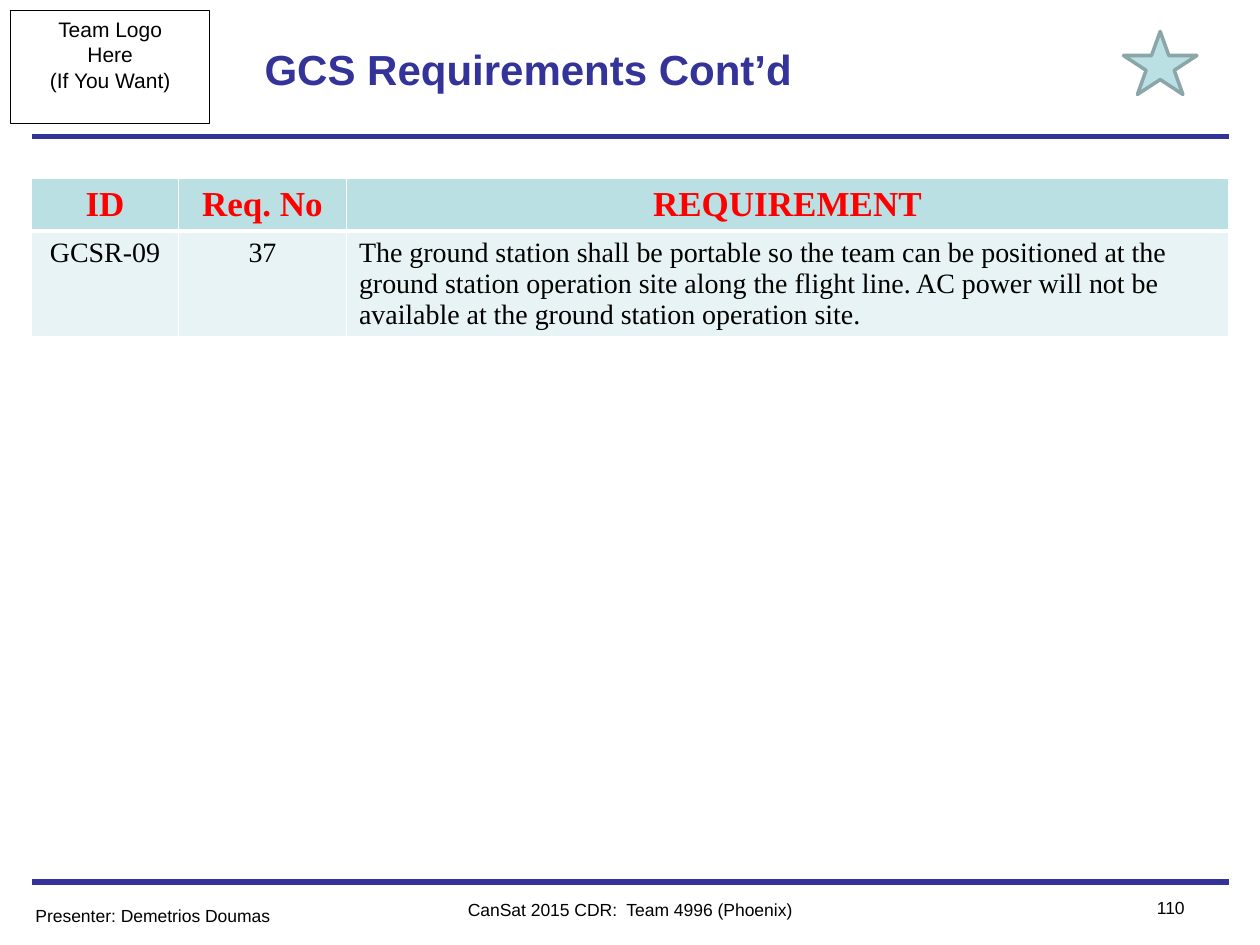
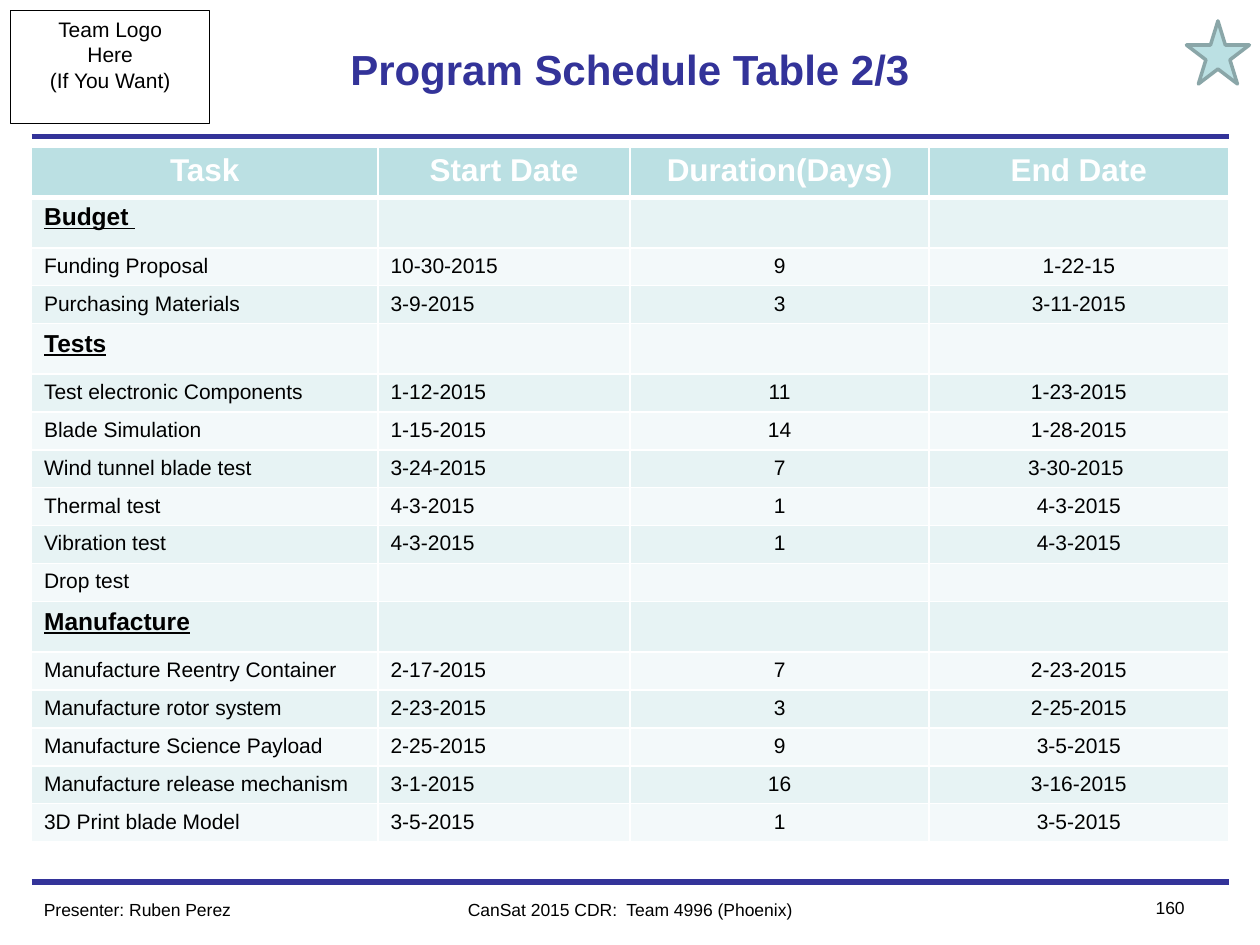
from lxml import etree
from pptx import Presentation
from pptx import util as u
from pptx.dml.color import RGBColor
from pptx.enum import shapes, text
from pptx.oxml import ns

NAVY, BLACK, WHITE, RED = "333399", "000000", "FFFFFF", "FF0000"
AQUA, AQUA_EDGE = "BBE0E3", "8AA6A8"
BANDS = ("E7F3F4", "F3F9FA")
SANS, SERIF = "Arial", "Times New Roman"
LEFT, CENTER, RIGHT = text.PP_ALIGN.LEFT, text.PP_ALIGN.CENTER, text.PP_ALIGN.RIGHT
COLUMNS, ROWS = 120, 90
MARGIN, BODY_WIDTH = 3, 114
RULE_ROWS = (84, 13)
TEAM = "CanSat 2015 CDR:  Team 4996 (Phoenix)"

REQUIREMENTS = [
    ("ID", "Req. No", "REQUIREMENT"),
    ("GCSR-09", "37",
     "The ground station shall be portable so the team can be positioned at the "
     "ground station operation site along the flight line. AC power will not be "
     "available at the ground station operation site."),
]
SCHEDULE = [
    ("Task", "Start Date", "Duration(Days)", "End Date"),
    ("Budget ",),
    ("Funding Proposal", "10-30-2015", "9", "1-22-15"),
    ("Purchasing Materials", "3-9-2015", "3", "3-11-2015"),
    ("Tests",),
    ("Test electronic Components", "1-12-2015", "11", "1-23-2015"),
    ("Blade Simulation", "1-15-2015", "14", "1-28-2015"),
    ("Wind tunnel blade test", "3-24-2015", "7", "3-30-2015 "),
    ("Thermal test", "4-3-2015", "1", "4-3-2015"),
    ("Vibration test", "4-3-2015", "1", "4-3-2015"),
    ("Drop test", "", "", ""),
    ("Manufacture",),
    ("Manufacture Reentry Container", "2-17-2015", "7", "2-23-2015"),
    ("Manufacture rotor system", "2-23-2015", "3", "2-25-2015"),
    ("Manufacture Science Payload", "2-25-2015", "9", "3-5-2015"),
    ("Manufacture release mechanism", "3-1-2015", "16", "3-16-2015"),
    ("3D Print blade Model", "3-5-2015", "1", "3-5-2015"),
]

deck = Presentation()
deck.slide_width, deck.slide_height = u.Inches(10), u.Inches(7.5)


def across(columns):
    """Turn grid columns into a length."""
    return round(deck.slide_width * columns / COLUMNS)


def down(rows):
    """Turn grid rows into a length."""
    return round(deck.slide_height * rows / ROWS)


def place(box):
    """Turn a grid box into left, top, width and height."""
    left, top, width, height = box
    return across(left), down(top), across(width), down(height)


def paint(color_format, color):
    """Set a colour from a hex string."""
    color_format.rgb = RGBColor.from_string(color)


def write(paragraph, words, size, color=BLACK, font=SANS, align=LEFT, bold=False, underline=False):
    """Add one formatted run, or size the paragraph when it is empty."""
    paragraph.alignment = align
    if not words:
        end = etree.SubElement(paragraph._p, ns.qn("a:endParaRPr"))
        end.set("sz", str(size * 100))
        return
    run = paragraph.add_run()
    run.text = words
    run.font.size, run.font.name = u.Pt(size), font
    run.font.bold, run.font.underline = bold, underline
    paint(run.font.color, color)


def add_rule(slide, row):
    """Draw a navy rule across the body width."""
    start, end = across(MARGIN), across(MARGIN + BODY_WIDTH)
    rule = slide.shapes.add_connector(shapes.MSO_CONNECTOR.STRAIGHT, start, down(row), end, down(row))
    rule.line.width = u.Pt(3)
    paint(rule.line.color, NAVY)
    etree.SubElement(rule._element.spPr, ns.qn("a:effectLst"))


def add_outline(slide, preset, box, fill, edge, weight):
    """Add a preset shape with the given fill and edge."""
    outline = slide.shapes.add_shape(preset, *place(box))
    outline.shadow.inherit = False
    if fill:
        outline.fill.solid()
        paint(outline.fill.fore_color, fill)
    else:
        outline.fill.background()
    paint(outline.line.color, edge)
    outline.line.width = u.Pt(weight)
    return outline


def add_team_logo(slide, box):
    """Add the framed space for the team logo."""
    frame = add_outline(slide, shapes.MSO_SHAPE.RECTANGLE, box, None, BLACK, 0.5).text_frame
    frame.word_wrap = False
    frame.vertical_anchor = text.MSO_ANCHOR.TOP
    for index, words in enumerate(("Team Logo", "Here", "(If You Want)")):
        paragraph = frame.add_paragraph() if index else frame.paragraphs[0]
        write(paragraph, words, 12, align=CENTER)


def add_footer(slide, presenter, presenter_box, page):
    """Add the presenter, team and page number."""
    parts = (
        (presenter, presenter_box, LEFT),
        (TEAM, (36, 85, 48, 3.25), CENTER),
        (page, (105, 84.8, 9, 3.25), RIGHT),
    )
    for words, box, align in parts:
        frame = slide.shapes.add_textbox(*place(box)).text_frame
        frame.word_wrap = True
        write(frame.paragraphs[0], words, 10, align=align)


def add_page(title, title_box, title_align, star_box):
    """Start a slide with its title, rules, logo space and star."""
    slide = deck.slides.add_slide(deck.slide_layouts[5])
    for row in RULE_ROWS:
        add_rule(slide, row)
    add_team_logo(slide, (1, 1, 19, 10.75))
    heading = slide.shapes.title
    heading.left, heading.top, heading.width, heading.height = place(title_box)
    heading.text_frame.vertical_anchor = text.MSO_ANCHOR.MIDDLE
    write(heading.text_frame.paragraphs[0], title, 24, NAVY, align=title_align, bold=True)
    add_outline(slide, shapes.MSO_SHAPE.STAR_5_POINT, star_box, AQUA, AQUA_EDGE, 2)
    return slide


def style_cell(cell, fill, bottom):
    """Give a cell white borders and a fill."""
    properties = cell._tc.get_or_add_tcPr()
    for side, weight in (("L", 1), ("R", 1), ("T", 1), ("B", bottom)):
        border = etree.SubElement(properties, ns.qn(f"a:ln{side}"), w=str(u.Pt(weight)))
        solid = etree.SubElement(border, ns.qn("a:solidFill"))
        etree.SubElement(solid, ns.qn("a:srgbClr"), val=WHITE)
    cell.fill.solid()
    paint(cell.fill.fore_color, fill)


def add_grid(slide, top, records, widths, heights, aligns, header, body):
    """Add a banded table whose one-entry records are section headings."""
    box = (MARGIN, top, sum(widths), sum(heights))
    grid = slide.shapes.add_table(len(records), len(widths), *place(box)).table
    grid.horz_banding = False
    for column, width in zip(grid.columns, widths):
        column.width = across(width)
    for index, (record, height) in enumerate(zip(records, heights)):
        grid.rows[index].height = down(height)
        is_section = len(record) == 1
        entries = record + ("",) * (len(widths) - len(record))
        for position, entry in enumerate(entries):
            cell = grid.cell(index, position)
            paragraph = cell.text_frame.paragraphs[0]
            if index == 0:
                style_cell(cell, AQUA, 3)
                write(paragraph, entry, align=CENTER, bold=True, **header)
                continue
            style_cell(cell, BANDS[(index - 1) % 2], 1)
            look = {**body, "size": 14} if is_section else body
            write(paragraph, entry, align=aligns[position], bold=is_section,
                  underline=is_section, **look)


def add_requirements():
    """Build the ground station requirements slide."""
    slide = add_page("GCS Requirements Cont’d", (24, 1, 78, 11), LEFT, (107, 3, 7, 6))
    add_grid(slide, 17, REQUIREMENTS, (14, 16, 84), (5, 10), (CENTER, CENTER, LEFT),
             {"size": 20, "color": RED, "font": SERIF}, {"size": 16, "font": SERIF})
    add_footer(slide, "Presenter: Demetrios Doumas", (2.2, 85.6, 30, 3.25), "110")


def add_schedule():
    """Build the program schedule slide."""
    slide = add_page("Program Schedule Table 2/3", (21, 1, 78, 11), CENTER, (113, 2, 6, 6))
    heights = [4.8 if index == 0 or len(record) == 1 else 3.61
               for index, record in enumerate(SCHEDULE)]
    add_grid(slide, 14, SCHEDULE, (33, 24, 28.5, 28.5), heights, (LEFT, LEFT, CENTER, CENTER),
             {"size": 18, "color": WHITE}, {"size": 12})
    add_footer(slide, "Presenter: Ruben Perez", (3, 85, 30, 3.25), "160")


def main():
    """Build and save the deck."""
    add_requirements()
    add_schedule()
    deck.save("out.pptx")


if __name__ == "__main__":
    main()
